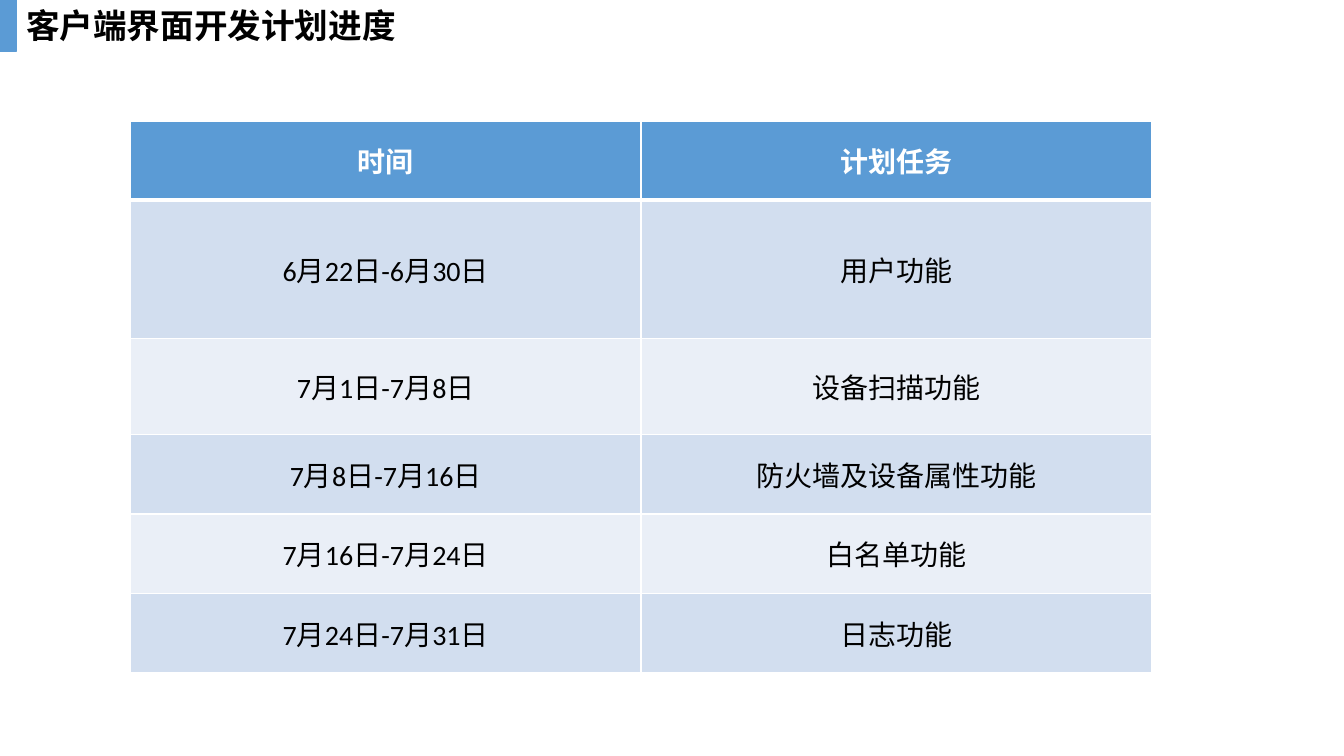
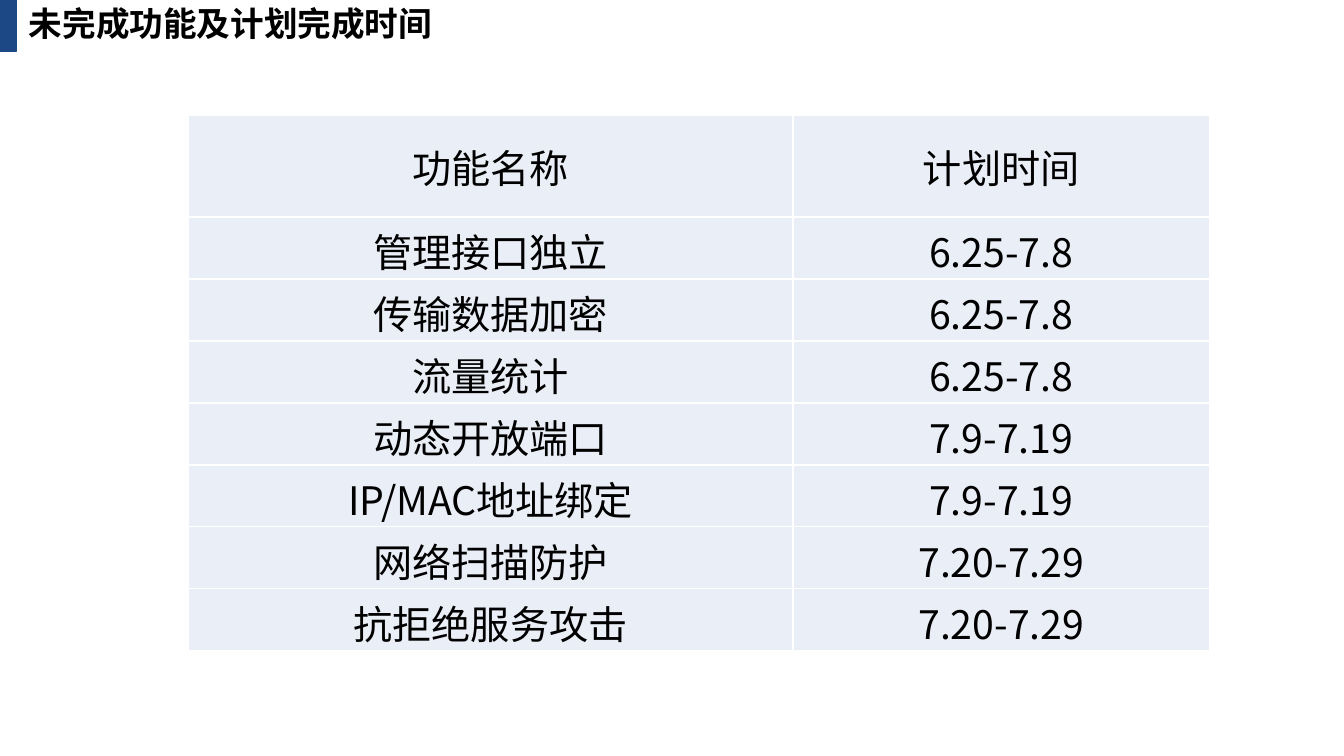
"""Build two slides of development schedules, each with a title band and a table."""
from dataclasses import dataclass

import lxml.etree
import pptx
import pptx.dml.color
import pptx.enum.shapes
import pptx.enum.text
import pptx.oxml.ns
import pptx.presentation
import pptx.slide
import pptx.table
import pptx.text.text
import pptx.util

SLIDE_WIDTH = pptx.util.Inches(13.333)
SLIDE_HEIGHT = pptx.util.Inches(7.5)
TITLE_ONLY_LAYOUT = 5
BAND_WIDTH, BAND_HEIGHT = 0.012, 0.068
TITLE_HEIGHT = 0.067

CJK_FONT = "Noto Sans CJK SC"
LATIN_FONT = "Calibri"
BLACK, WHITE = "000000", "FFFFFF"
BLUE, NAVY = "5B9BD5", "1C4885"
MIST, PALE = "D2DEEF", "EAEFF7"

MIDDLE = pptx.enum.text.MSO_ANCHOR.MIDDLE
BOTTOM = pptx.enum.text.MSO_ANCHOR.BOTTOM


@dataclass(frozen=True)
class TextStyle:
    font: str
    size: float
    color: str = BLACK
    bold: bool = False


@dataclass(frozen=True)
class RowStyle:
    text: TextStyle
    fills: tuple[str, ...]
    anchor: pptx.enum.text.MSO_ANCHOR = MIDDLE


@dataclass(frozen=True)
class Schedule:
    title: str
    title_box: tuple[float, float, float]
    band_color: str
    left: float
    top: float
    columns: tuple[float, ...]
    row_heights: tuple[float, ...]
    rows: tuple[tuple[str, str], ...]
    header: RowStyle
    body: RowStyle
    header_rule: float = 1
    tight: bool = False


TITLE_STYLE = TextStyle(CJK_FONT, 24, bold=True)
LARGE_STYLE = TextStyle(CJK_FONT, 28)

SCHEDULES = (
    Schedule(
        title="客户端界面开发计划进度",
        title_box=(0.012, 0, 0.3),
        band_color=BLUE,
        left=0.097,
        top=0.16,
        columns=(0.38, 0.38),
        row_heights=(0.105, 0.183, 0.127) + (0.105,) * 3,
        rows=(
            ("时间", "计划任务"),
            ("6月22日-6月30日", "用户功能"),
            ("7月1日-7月8日", "设备扫描功能"),
            ("7月8日-7月16日", "防火墙及设备属性功能"),
            ("7月16日-7月24日", "白名单功能"),
            ("7月24日-7月31日", "日志功能"),
        ),
        header=RowStyle(TextStyle(LATIN_FONT, 20, WHITE, True), (BLUE,)),
        body=RowStyle(TextStyle(LATIN_FONT, 20), (MIST, PALE)),
        header_rule=3,
    ),
    Schedule(
        title="未完成功能及计划完成时间",
        title_box=(0.014, -0.003, 0.356),
        band_color=NAVY,
        left=0.14,
        top=0.152,
        columns=(0.45, 0.31),
        row_heights=(0.135,) + (0.082,) * 7,
        rows=(
            ("功能名称", "计划时间"),
            ("管理接口独立", "6.25-7.8"),
            ("传输数据加密", "6.25-7.8"),
            ("流量统计", "6.25-7.8"),
            ("动态开放端口", "7.9-7.19"),
            ("IP/MAC地址绑定", "7.9-7.19"),
            ("网络扫描防护", "7.20-7.29"),
            ("抗拒绝服务攻击", "7.20-7.29"),
        ),
        header=RowStyle(LARGE_STYLE, (PALE,)),
        body=RowStyle(LARGE_STYLE, (PALE,), BOTTOM),
        tight=True,
    ),
)


def across(share: float) -> int:
    """Return a share of the slide's width."""
    return round(SLIDE_WIDTH * share)


def down(share: float) -> int:
    """Return a share of the slide's height."""
    return round(SLIDE_HEIGHT * share)


def paint(target: pptx.dml.color.ColorFormat | pptx.dml.fill.FillFormat, color: str) -> None:
    """Give a fill or a font colour a hex colour."""
    if isinstance(target, pptx.dml.fill.FillFormat):
        target.solid()
        target = target.fore_color
    target.rgb = pptx.dml.color.RGBColor.from_string(color)


def style_paragraph(
    paragraph: pptx.text.text._Paragraph,
    style: TextStyle,
    alignment: pptx.enum.text.PP_ALIGN,
) -> None:
    """Set the font and alignment of a paragraph."""
    paragraph.alignment = alignment
    font = paragraph.font
    font.size = pptx.util.Pt(style.size)
    font.bold = style.bold
    paint(font.color, style.color)
    font.name = style.font
    if style.font == CJK_FONT:
        latin = paragraph._p.find(".//" + pptx.oxml.ns.qn("a:latin"))
        east_asian = lxml.etree.Element(pptx.oxml.ns.qn("a:ea"), typeface=CJK_FONT)
        latin.addnext(east_asian)


def set_borders(cell: pptx.table._Cell, top: float, bottom: float) -> None:
    """Draw white borders around a cell, with top and bottom widths in points."""
    properties = cell._tc.get_or_add_tcPr()
    edges = (("a:lnL", 1), ("a:lnR", 1), ("a:lnT", top), ("a:lnB", bottom))
    for position, (tag, width) in enumerate(edges):
        line = lxml.etree.Element(pptx.oxml.ns.qn(tag), w=str(pptx.util.Pt(width)))
        fill = lxml.etree.SubElement(line, pptx.oxml.ns.qn("a:solidFill"))
        lxml.etree.SubElement(fill, pptx.oxml.ns.qn("a:srgbClr"), val=WHITE)
        properties.insert(position, line)


def add_title(slide: pptx.slide.Slide, schedule: Schedule) -> None:
    """Place the slide title and the colour band beside it."""
    title = slide.shapes.title
    left, top, width = schedule.title_box
    title.left, title.top = across(left), down(top)
    title.width, title.height = across(width), down(TITLE_HEIGHT)
    frame = title.text_frame
    frame.text = schedule.title
    frame.vertical_anchor = pptx.enum.text.MSO_ANCHOR.TOP
    frame.auto_size = pptx.enum.text.MSO_AUTO_SIZE.SHAPE_TO_FIT_TEXT
    paragraph = frame.paragraphs[0]
    paragraph.line_spacing = 1.0
    paragraph.space_before = pptx.util.Pt(0)
    style_paragraph(paragraph, TITLE_STYLE, pptx.enum.text.PP_ALIGN.LEFT)

    band = slide.shapes.add_shape(
        pptx.enum.shapes.MSO_SHAPE.RECTANGLE, 0, 0, across(BAND_WIDTH), down(BAND_HEIGHT)
    )
    band.shadow.inherit = False
    paint(band.fill, schedule.band_color)
    paint(band.line.fill, schedule.band_color)
    band.line.width = pptx.util.Pt(1)


def add_schedule_table(slide: pptx.slide.Slide, schedule: Schedule) -> None:
    """Draw the schedule as a table with a header row."""
    table = slide.shapes.add_table(
        len(schedule.rows),
        len(schedule.columns),
        across(schedule.left),
        down(schedule.top),
        across(sum(schedule.columns)),
        down(sum(schedule.row_heights)),
    ).table
    table.first_row = table.horz_banding = False
    for column, width in zip(table.columns, schedule.columns):
        column.width = across(width)
    for index, (row, height) in enumerate(zip(table.rows, schedule.row_heights)):
        row.height = down(height)
        style = schedule.body if index else schedule.header
        for cell, text in zip(row.cells, schedule.rows[index]):
            cell.text = text
            cell.vertical_anchor = style.anchor
            if schedule.tight:
                cell.margin_left = cell.margin_right = cell.margin_top = pptx.util.Inches(0.01)
                cell.margin_bottom = 0
            paint(cell.fill, style.fills[(index - 1) % len(style.fills)])
            set_borders(
                cell,
                schedule.header_rule if index == 1 else 1,
                schedule.header_rule if index == 0 else 1,
            )
            style_paragraph(
                cell.text_frame.paragraphs[0], style.text, pptx.enum.text.PP_ALIGN.CENTER
            )


def main() -> None:
    """Build and save the presentation."""
    presentation = pptx.Presentation()
    presentation.slide_width, presentation.slide_height = SLIDE_WIDTH, SLIDE_HEIGHT
    for schedule in SCHEDULES:
        slide = presentation.slides.add_slide(presentation.slide_layouts[TITLE_ONLY_LAYOUT])
        add_title(slide, schedule)
        add_schedule_table(slide, schedule)
    presentation.save("out.pptx")


if __name__ == "__main__":
    main()
